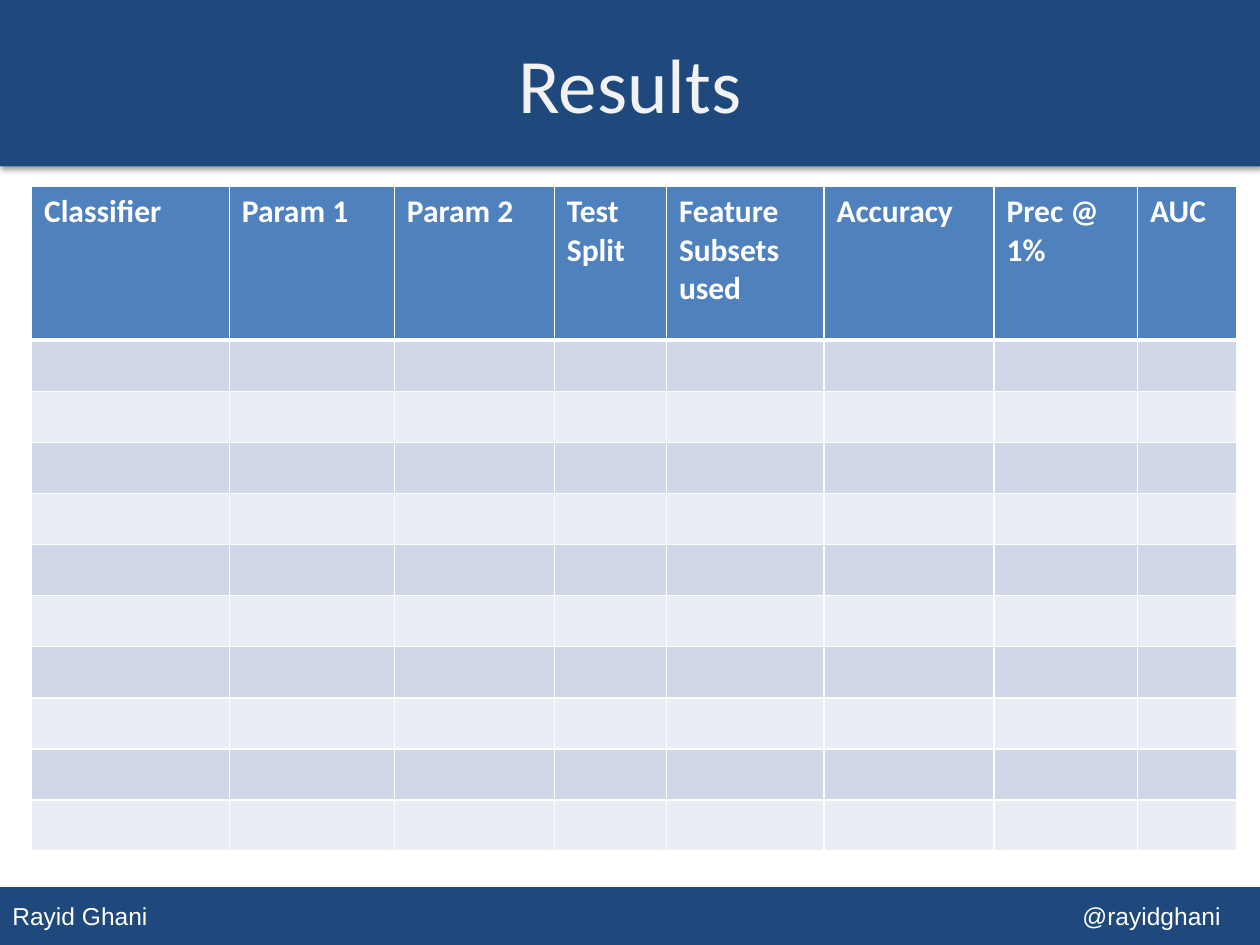
import pptx
import pptx.dml.color
import pptx.enum.shapes
import pptx.enum.text
import pptx.oxml
import pptx.oxml.ns
import pptx.util

COLORS = {
    "navy": "1F497D", "header": "4F81BD", "band_dark": "D0D8E8",
    "band_light": "E9EDF4", "white": "FFFFFF", "title": "F2F2F2", "shadow": "000000",
}
NAMESPACE = pptx.oxml.ns.nsdecls("a")
HEADINGS = ["Classifier", "Param 1", "Param 2", "Test Split",
            "Feature Subsets used", "Accuracy", "Prec @ 1%", "AUC"]
COLUMN_WIDTHS = [15.7, 13.1, 12.7, 8.9, 12.5, 13.5, 11.4, 7.9]
BODY_ROWS = 10


def color(name):
    return pptx.dml.color.RGBColor.from_string(COLORS[name])


def grid(units):
    return pptx.util.Inches(units / 10)


def write(frame, text, size=18, font="Calibri", ink="white", bold=False, align="LEFT"):
    para = frame.paragraphs[0]
    para.alignment = getattr(pptx.enum.text.PP_ALIGN, align)
    span = para.add_run()
    span.text = text
    span.font.size = pptx.util.Pt(size)
    span.font.name = font
    span.font.bold = bold
    span.font.color.rgb = color(ink)
    return para


class Page:
    def __init__(self, deck):
        self.slide = deck.slides.add_slide(deck.slide_layouts[5])
        self.shapes = self.slide.shapes

    def bar(self, top, height):
        box = self.shapes.add_shape(pptx.enum.shapes.MSO_SHAPE.RECTANGLE,
                                    0, grid(top), grid(100), grid(height))
        box.fill.solid()
        box.fill.fore_color.rgb = color("navy")
        box.line.fill.background()
        box.shadow.inherit = False
        effects = box._element.spPr.find(pptx.oxml.ns.qn("a:effectLst"))
        effects.append(pptx.oxml.parse_xml(
            f'<a:outerShdw {NAMESPACE} blurRad="39370" dist="22860" dir="5400000" '
            f'rotWithShape="0"><a:srgbClr val="{COLORS["shadow"]}">'
            '<a:alpha val="35000"/></a:srgbClr></a:outerShdw>'))
        return box

    def footer(self, left_text, right_text, top, height, tab):
        frame = self.bar(top, height).text_frame
        frame.vertical_anchor = pptx.enum.text.MSO_ANCHOR.MIDDLE
        para = write(frame, f"{left_text}\t{right_text}", size=14, font="Arial")
        para._p.get_or_add_pPr().append(pptx.oxml.parse_xml(
            f'<a:tabLst {NAMESPACE}><a:tab pos="{grid(tab)}" algn="r"/></a:tabLst>'))

    def title(self, text, top, height):
        box = self.shapes.title
        box.left, box.top, box.width, box.height = 0, grid(top), grid(100), grid(height)
        box.text_frame.vertical_anchor = pptx.enum.text.MSO_ANCHOR.MIDDLE
        write(box.text_frame, text, size=44, ink="title", align="CENTER")
        self.shapes._spTree.append(box._element)

    def cell(self, cell, fill, widths):
        properties = cell._tc.get_or_add_tcPr()
        for side, points in widths.items():
            properties.append(pptx.oxml.parse_xml(
                f'<a:{side} {NAMESPACE} w="{pptx.util.Pt(points)}"><a:solidFill>'
                f'<a:srgbClr val="{COLORS["white"]}"/></a:solidFill></a:{side}>'))
        cell.fill.solid()
        cell.fill.fore_color.rgb = color(fill)

    def table(self, headings, widths, body_rows, left, top, header_height, row_height):
        height = header_height + body_rows * row_height
        table = self.shapes.add_table(body_rows + 1, len(headings), grid(left), grid(top),
                                      grid(sum(widths)), grid(height)).table
        for column, width in zip(table.columns, widths):
            column.width = grid(width)
        for index, row in enumerate(table.rows):
            row.height = grid(row_height if index else header_height)
            fill = ("band_light", "band_dark")[index % 2] if index else "header"
            borders = {"lnL": 1, "lnR": 1, "lnT": 3 if index == 1 else 1,
                       "lnB": 1 if index else 3}
            for cell in row.cells:
                self.cell(cell, fill, borders)
        for cell, heading in zip(table.rows[0].cells, headings):
            write(cell.text_frame, heading, bold=True)


deck = pptx.Presentation()
deck.slide_width, deck.slide_height = grid(100), grid(75)
page = Page(deck)
page.footer("Rayid Ghani", "@rayidghani", top=70.4, height=4.6, tab=95.9)
page.bar(top=0, height=13.2)
page.table(HEADINGS, COLUMN_WIDTHS, BODY_ROWS, left=2.5, top=14.8,
           header_height=12.2, row_height=4)
page.title("Results", top=0.3, height=12.5)
deck.save("out.pptx")
